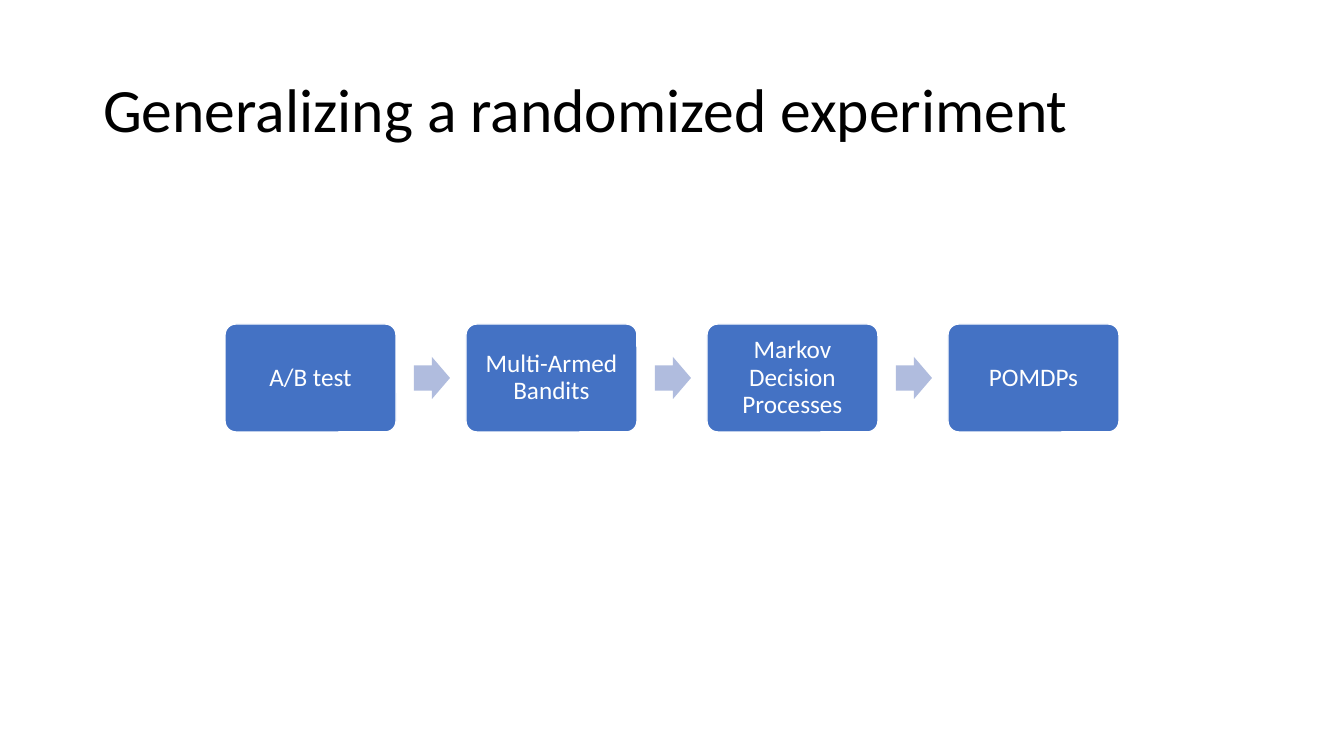
import pptx
import pptx.util
import pptx.dml.color
import pptx.enum.shapes
import pptx.enum.text

SCALE = 914400 / 100.8  # EMU in one px
COLORS = {"ink": "000000", "paper": "FFFFFF", "box": "4472C4", "arrow": "B0BCDE"}
STEPS = ["A/B test", "Multi-Armed Bandits", "Markov Decision Processes", "POMDPs"]
KINDS = pptx.enum.shapes.MSO_SHAPE
ALIGN = pptx.enum.text.PP_ALIGN

# Row of steps, in px
LEFT, MID, PITCH = 225, 378, 241
BOX_W, BOX_H = 171, 108
ARROW_W, ARROW_H, ARROW_GAP = 36, 42, 18


def px(n):
    return round(n * SCALE)


def color(name):
    return pptx.dml.color.RGBColor.from_string(COLORS[name])


def write(shape, text, size, ink, align, inset=None):
    """Fill a shape with one formatted paragraph."""
    frame = shape.text_frame
    frame.word_wrap = True
    frame.auto_size = pptx.enum.text.MSO_AUTO_SIZE.NONE
    frame.vertical_anchor = pptx.enum.text.MSO_ANCHOR.MIDDLE
    if inset is not None:
        frame.margin_left = frame.margin_right = px(inset)
        frame.margin_top = frame.margin_bottom = px(inset)
    para = frame.paragraphs[0]
    para.alignment = align
    para.line_spacing = 0.9
    run = para.add_run()
    run.text = text
    run.font.name = "Calibri"
    run.font.size = pptx.util.Pt(size)
    run.font.color.rgb = color(ink)


def block(slide, kind, x, w, h, fill, adjust):
    """Add a flat shape centred on the row's middle line."""
    shape = slide.shapes.add_shape(kind, px(x), px(MID - h / 2), px(w), px(h))
    shape.shadow.inherit = False
    for i, value in enumerate(adjust):
        shape.adjustments[i] = value
    shape.fill.solid()
    shape.fill.fore_color.rgb = color(fill)
    shape.line.fill.background()
    return shape


def step(slide, text, x):
    box = block(slide, KINDS.ROUNDED_RECTANGLE, x, BOX_W, BOX_H, "box", [0.1])
    box.line.color.rgb = color("paper")
    box.line.width = pptx.util.Pt(1)
    write(box, text, size=18, ink="paper", align=ALIGN.CENTER, inset=10)


def arrow(slide, x):
    block(slide, KINDS.RIGHT_ARROW, x, ARROW_W, ARROW_H, "arrow", [0.6, 0.5])


def main():
    deck = pptx.Presentation()
    deck.slide_width, deck.slide_height = px(1344), px(756)
    slide = deck.slides.add_slide(deck.slide_layouts[5])

    # Title
    title = slide.shapes.title
    title.left, title.top, title.width, title.height = map(px, (93, 40, 1159, 146))
    write(title, "Generalizing a randomized experiment",
          size=44, ink="ink", align=ALIGN.LEFT)

    # Steps with an arrow after each but the last
    for i, text in enumerate(STEPS):
        x = LEFT + i * PITCH
        step(slide, text, x)
        if i < len(STEPS) - 1:
            arrow(slide, x + BOX_W + ARROW_GAP)

    deck.save("out.pptx")


if __name__ == "__main__":
    main()
